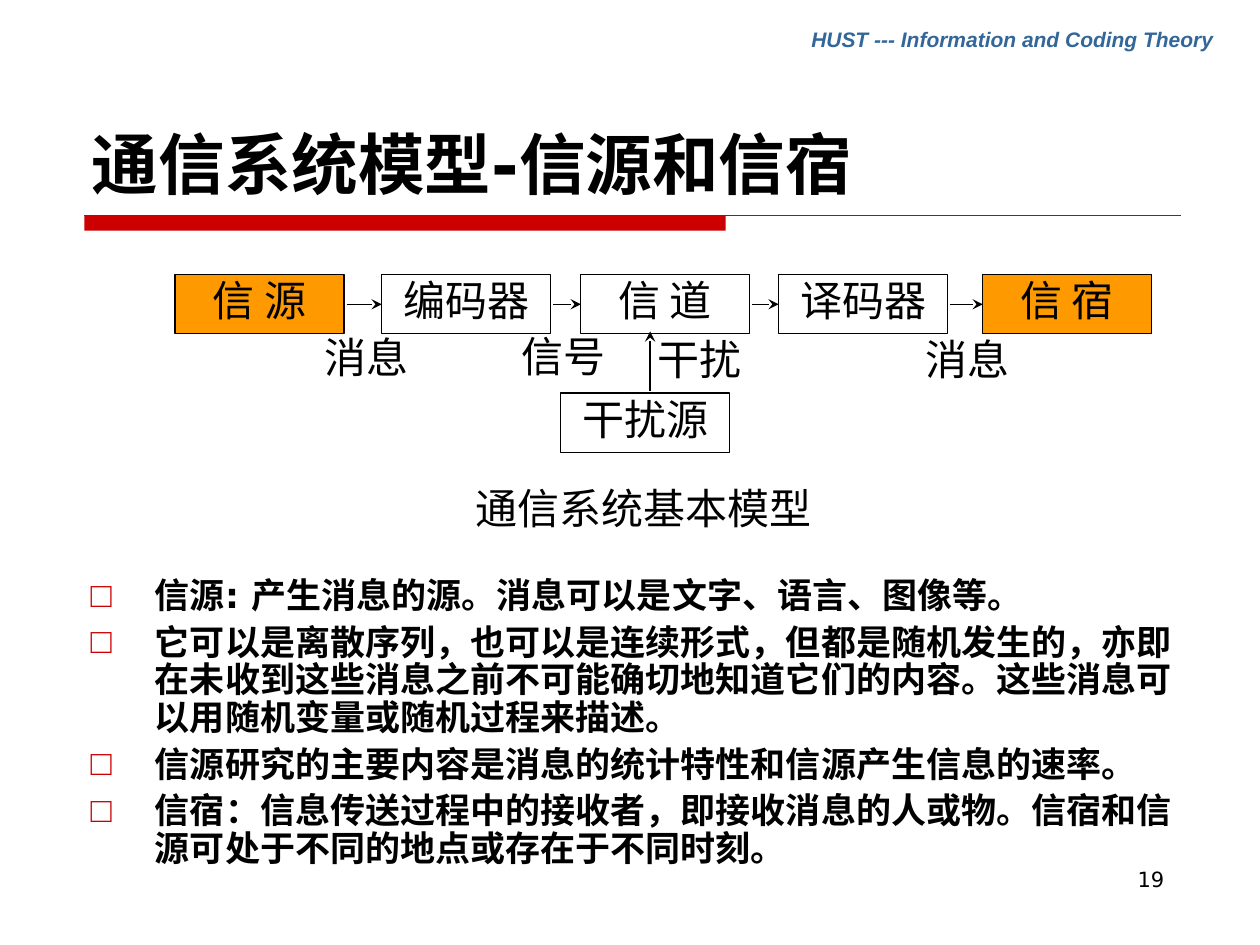
"""Build a slide on the source and sink of a communication system."""
from lxml import etree
from pptx import Presentation
from pptx.dml.color import RGBColor
from pptx.enum.shapes import MSO_CONNECTOR, MSO_SHAPE
from pptx.enum.text import MSO_ANCHOR, MSO_AUTO_SIZE, PP_ALIGN
from pptx.oxml.ns import qn
from pptx.util import Inches, Pt

LEFT, CENTER, RIGHT = PP_ALIGN.LEFT, PP_ALIGN.CENTER, PP_ALIGN.RIGHT
TOP, BOTTOM = MSO_ANCHOR.TOP, MSO_ANCHOR.BOTTOM
FIXED = MSO_AUTO_SIZE.NONE
RECT, LINE = MSO_SHAPE.RECTANGLE, MSO_CONNECTOR.STRAIGHT

HUE = {"black": "000000", "white": "FFFFFF", "red": "CC0000",
       "orange": "FF9900", "blue": "336699"}

TITLE = "通信系统模型-信源和信宿"
HEAD = "HUST --- Information and Coding Theory"
PAGE = "19"
POINTS = [
    "信源: 产生消息的源。消息可以是文字、语言、图像等。",
    "它可以是离散序列，也可以是连续形式，但都是随机发生的，亦即在未收到这些消息之前不可能确切地知道它们的内容。这些消息可以用随机变量或随机过程来描述。",
    "信源研究的主要内容是消息的统计特性和信源产生信息的速率。",
    "信宿：信息传送过程中的接收者，即接收消息的人或物。信宿和信源可处于不同的地点或存在于不同时刻。",
]
CHAIN = [("信 源", 1.39, "orange"), ("编码器", 3.03, "white"),
         ("信 道", 4.61, "white"), ("译码器", 6.18, "white"),
         ("信 宿", 7.8, "orange")]
NOISE = ("干扰源", 4.45, "white")
LABELS = [("消息", (2.23, 2.63, 1.35, 0.49)), ("信号", (4.01, 2.62, 0.92, 0.33)),
          ("干扰", (5, 2.65, 1.1, 0.47)), ("消息", (7.2, 2.65, 0.95, 0.63)),
          ("通信系统基本模型", (3.01, 3.83, 4.19, 0.47))]

WIDE, HIGH, ROW, LOW, GAP = 1.34, 0.47, 2.18, 3.12, 0.02
STEM = 5.16

FONTS = {
    "title": {"name": "DejaVu Sans", "size": Pt(38), "bold": True},
    "body": {"name": "DejaVu Sans", "size": Pt(20), "bold": True},
    "page": {"name": "DejaVu Sans", "size": Pt(12)},
    "head": {"name": "Arial", "size": Pt(12), "bold": True, "italic": True},
    "node": {"name": "Times New Roman", "size": Pt(24)},
}
FRAME = {"word_wrap": True, "auto_size": FIXED, "vertical_anchor": TOP}
SNUG = {"margin_left": Inches(0.04), "margin_right": Inches(0.04),
        "margin_top": 0, "margin_bottom": Inches(0.02)}


def tint(name):
    return RGBColor.from_string(HUE[name])


def apply(item, values):
    for key, value in values.items():
        setattr(item, key, value)


def place(shape, at):
    apply(shape, dict(zip(("left", "top", "width", "height"), map(Inches, at))))


def write(para, text, style, align=LEFT, hue="black"):
    para.alignment = align
    run = para.add_run()
    run.text = text
    apply(run.font, FONTS[style])
    run.font.color.rgb = tint(hue)


def add_text(slide, text, at, style, align=LEFT, hue="black", **frame):
    box = slide.shapes.add_textbox(*map(Inches, at)).text_frame
    apply(box, {**FRAME, **frame})
    write(box.paragraphs[0], text, style, align, hue)


def add_rect(slide, at, fill):
    rect = slide.shapes.add_shape(RECT, *map(Inches, at))
    rect.shadow.inherit = False
    rect.fill.solid()
    rect.fill.fore_color.rgb = tint(fill)
    return rect


def add_node(slide, text, left, fill, top):
    node = add_rect(slide, (left, top, WIDE, HIGH), fill)
    node.line.color.rgb = tint("black")
    node.line.width = Pt(0.75)
    apply(node.text_frame, {**FRAME, **SNUG})
    write(node.text_frame.paragraphs[0], text, "node", CENTER)


def add_line(slide, ends, hue="black", arrow=True):
    line = slide.shapes.add_connector(LINE, *map(Inches, ends))
    line.line.color.rgb = tint(hue)
    line.line.width = Pt(0.75)
    props = line._element.spPr
    if arrow:
        etree.SubElement(props.find(qn("a:ln")), qn("a:tailEnd"), type="stealth")
    etree.SubElement(props, qn("a:effectLst"))


def add_bullet(para):
    props = para._p.get_or_add_pPr()
    props.set("marL", str(Inches(0.51)))
    props.set("indent", str(-Inches(0.51)))
    color = etree.SubElement(props, qn("a:buClr"))
    etree.SubElement(color, qn("a:srgbClr"), val=HUE["red"])
    etree.SubElement(props, qn("a:buChar"), char="□")


def fill_body(body):
    place(body, (0.62, 4.54, 8.79, 2.52))
    frame = body.text_frame
    apply(frame, FRAME)
    for i, text in enumerate(POINTS):
        para = frame.add_paragraph() if i else frame.paragraphs[0]
        add_bullet(para)
        apply(para, {"line_spacing": 0.9, "space_before": Pt(5 if i else 0)})
        write(para, text, "body")


def main():
    deck = Presentation()
    apply(deck, {"slide_width": Inches(10), "slide_height": Inches(7.5)})
    slide = deck.slides.add_slide(deck.slide_layouts[1])
    title, body = slide.placeholders

    add_rect(slide, (0.67, 1.71, 5.09, 0.12), "red").line.fill.background()
    add_line(slide, (0.67, 1.71, 9.37, 1.71), "red", arrow=False)
    add_text(slide, HEAD, (6.34, 0.16, 3.39, 0.3), "head", hue="blue",
             word_wrap=False)
    add_text(slide, PAGE, (7.17, 6.83, 2.17, 0.52), "page", RIGHT)

    place(title, (0.63, 0.33, 8.75, 1.33))
    apply(title.text_frame, {**FRAME, "vertical_anchor": BOTTOM})
    write(title.text_frame.paragraphs[0], TITLE, "title")
    fill_body(body)

    for node in CHAIN:
        add_node(slide, *node, ROW)
    add_node(slide, *NOISE, LOW)
    mid = ROW + HIGH / 2
    for (_, left, _), (_, right, _) in zip(CHAIN, CHAIN[1:]):
        add_line(slide, (left + WIDE + GAP, mid, right, mid))
    add_line(slide, (STEM, LOW - GAP, STEM, ROW + HIGH - GAP))
    for text, at in LABELS:
        add_text(slide, text, at, "node", CENTER, **SNUG)

    deck.save("out.pptx")


if __name__ == "__main__":
    main()
